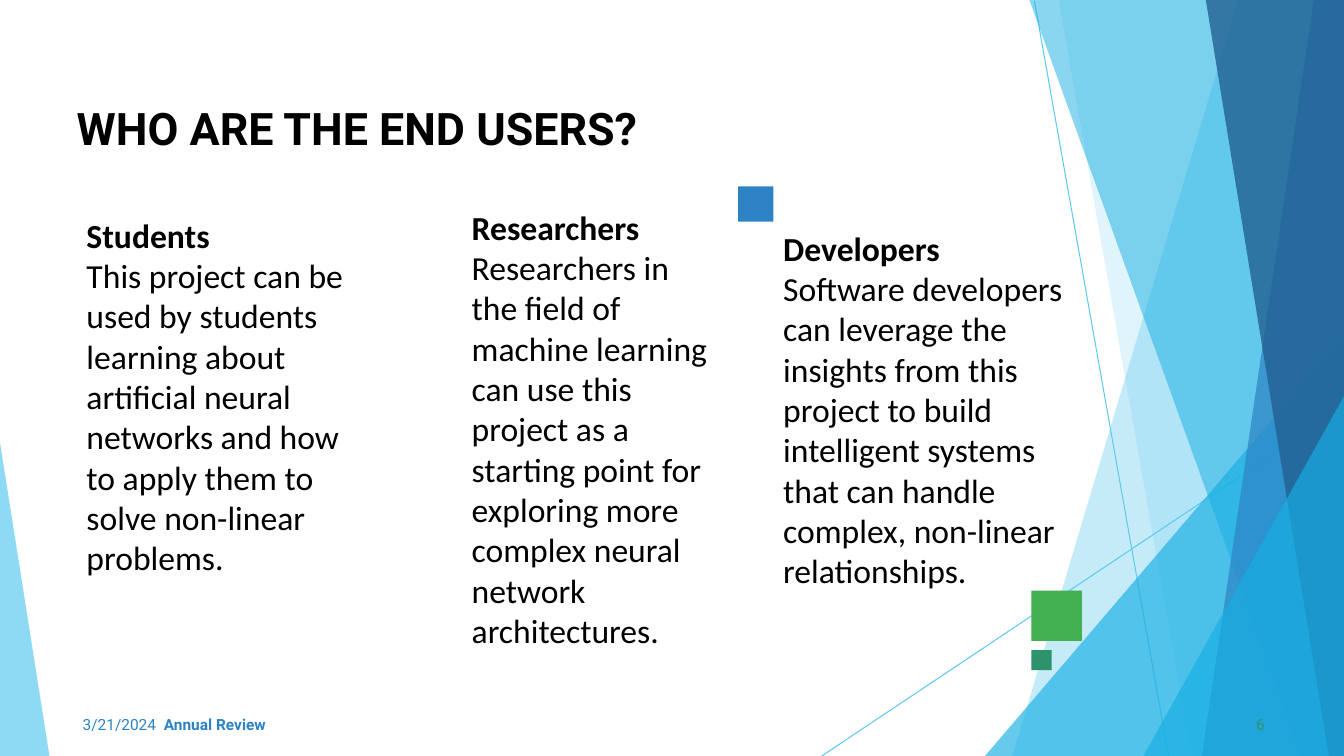
import pptx
import pptx.util
import pptx.dml.color
import pptx.enum.shapes
import pptx.enum.text
import pptx.oxml
import pptx.oxml.ns

Inches, Pt = pptx.util.Inches, pptx.util.Pt
RGB = pptx.dml.color.RGBColor.from_string
COLORS = {"sky": "5FCAEE", "cyan": "17AFE3", "blue": "2D83C3", "navy": "226192",
          "green": "42AF51", "teal": "2D936B", "text": "000000"}
W, H = 1333, 750  # slide size in hundredths of an inch
UNIT = 9144       # EMU in a hundredth of an inch

prs = pptx.Presentation()
prs.slide_width, prs.slide_height = Inches(13.33), Inches(7.5)
s = prs.slides.add_slide(prs.slide_layouts[5])


def fill_flat(sp, color, alpha=100):
    """Fill a shape with one colour at alpha percent, without line or shadow."""
    sp.shadow.inherit = False
    sp.line.fill.background()
    sp.fill.solid()
    sp.fill.fore_color.rgb = RGB(COLORS[color])
    if alpha < 100:
        clr = sp.fill._xPr.find(".//" + pptx.oxml.ns.qn("a:srgbClr"))
        clr.append(pptx.oxml.parse_xml(
            f'<a:alpha {pptx.oxml.ns.nsdecls("a")} val="{alpha * 1000}"/>'))


def add_text(left, top, width, height, inset=(0, 0.01, 0, 0), wrap=True):
    """Add a text box, in inches, and return its text frame."""
    tf = s.shapes.add_textbox(*map(Inches, (left, top, width, height))).text_frame
    tf.word_wrap = wrap
    tf.margin_left, tf.margin_top, tf.margin_right, tf.margin_bottom = map(Inches, inset)
    return tf


# Thin crossing lines
for x1, y1, x2, y2 in [(1026, 1, 1159, H), (W, 404, 815, H)]:
    line = s.shapes.add_connector(pptx.enum.shapes.MSO_CONNECTOR.STRAIGHT,
                                  *(v * UNIT for v in (x1, y1, x2, y2)))
    line.line.color.rgb = RGB(COLORS["sky"])
    line.line.width = Pt(0.75)
    line._element.spPr.append(pptx.oxml.parse_xml(
        f'<a:effectLst {pptx.oxml.ns.nsdecls("a")}/>'))

# Translucent facets: bands run the full height, corners rise to one point
band = lambda top, bottom: [(W, 0), (top, 0), (bottom, H), (W, H)]
corner = lambda y, x: [(W, y), (x, H), (W, H)]
facets = [
    (band(1228, 1004), "sky", 36),
    (band(1050, 1182), "sky", 20),
    (corner(333, 977), "cyan", 66),
    (band(1021, 1291), "cyan", 50),
    (band(1303, 1192), "blue", 70),
    (band(1196, 1318), "navy", 80),
    (corner(393, 1134), "cyan", 66),
    ([(0, 439), (0, H), (49, H)], "sky", 70),
]
for points, color, alpha in facets:
    builder = s.shapes.build_freeform(*points[0], scale=UNIT)
    builder.add_line_segments(points[1:], close=True)
    fill_flat(builder.convert_to_shape(), color, alpha)

# Accent squares
for left, top, side, color in [(10.23, 5.86, 0.5, "green"), (7.32, 1.85, 0.35, "blue"),
                               (10.23, 6.45, 0.2, "teal")]:
    sp = s.shapes.add_shape(pptx.enum.shapes.MSO_SHAPE.RECTANGLE,
                            *map(Inches, (left, top, side, side)))
    fill_flat(sp, color)

# Title
title = s.shapes.title
title.left, title.top, title.width, title.height = map(Inches, (0.76, 0.98, 6.15, 0.57))
tf = title.text_frame
tf.text = "WHO ARE THE END USERS?"
tf.auto_size = pptx.enum.text.MSO_AUTO_SIZE.NONE
tf.vertical_anchor = pptx.enum.text.MSO_ANCHOR.TOP
tf.margin_left = tf.margin_right = tf.margin_bottom = 0
tf.margin_top = Inches(0.02)
p = tf.paragraphs[0]
p.alignment = pptx.enum.text.PP_ALIGN.LEFT
p.space_before = Pt(1.3)
p.font.name, p.font.size, p.font.bold = "Roboto", Pt(32), True
p.font.color.rgb = RGB(COLORS["text"])

# Footer: date with deck name, then page number
footers = [((0.82, 7.08, 1.97, 0.21), [("3/21/2024  ", False), ("Annual Review", True)], "blue"),
           ((12.46, 7.08, 0.17, 0.21), [("6", False)], "teal")]
for box, runs, color in footers:
    p = add_text(*box, wrap=False).paragraphs[0]
    p.space_before = Pt(0.6)
    p.font.name, p.font.size = "Roboto", Pt(11)
    p.font.color.rgb = RGB(COLORS[color])
    for text, bold in runs:
        r = p.add_run()
        r.text, r.font.bold = text, bold

# User groups
groups = [
    ((0.76, 2.08, 2.9, 4.04), "Students",
     "This project can be used by students learning about artificial neural networks "
     "and how to apply them to solve non-linear problems."),
    ((4.58, 2, 2.58, 4.85), "Researchers",
     "Researchers in the field of machine learning can use this project as a starting "
     "point for exploring more complex neural network architectures."),
    ((7.67, 2.21, 3.06, 4.04), "Developers",
     "Software developers can leverage the insights from this project to build "
     "intelligent systems that can handle complex, non-linear relationships."),
]
for box, heading, body in groups:
    tf = add_text(*box, inset=(0.1, 0.05, 0.1, 0.05))
    tf.text = f"{heading}\n{body}"
    for p in tf.paragraphs:
        p.font.name, p.font.size = "Calibri", Pt(24)
        p.font.color.rgb = RGB(COLORS["text"])
    tf.paragraphs[0].font.bold = True

prs.save("out.pptx")
